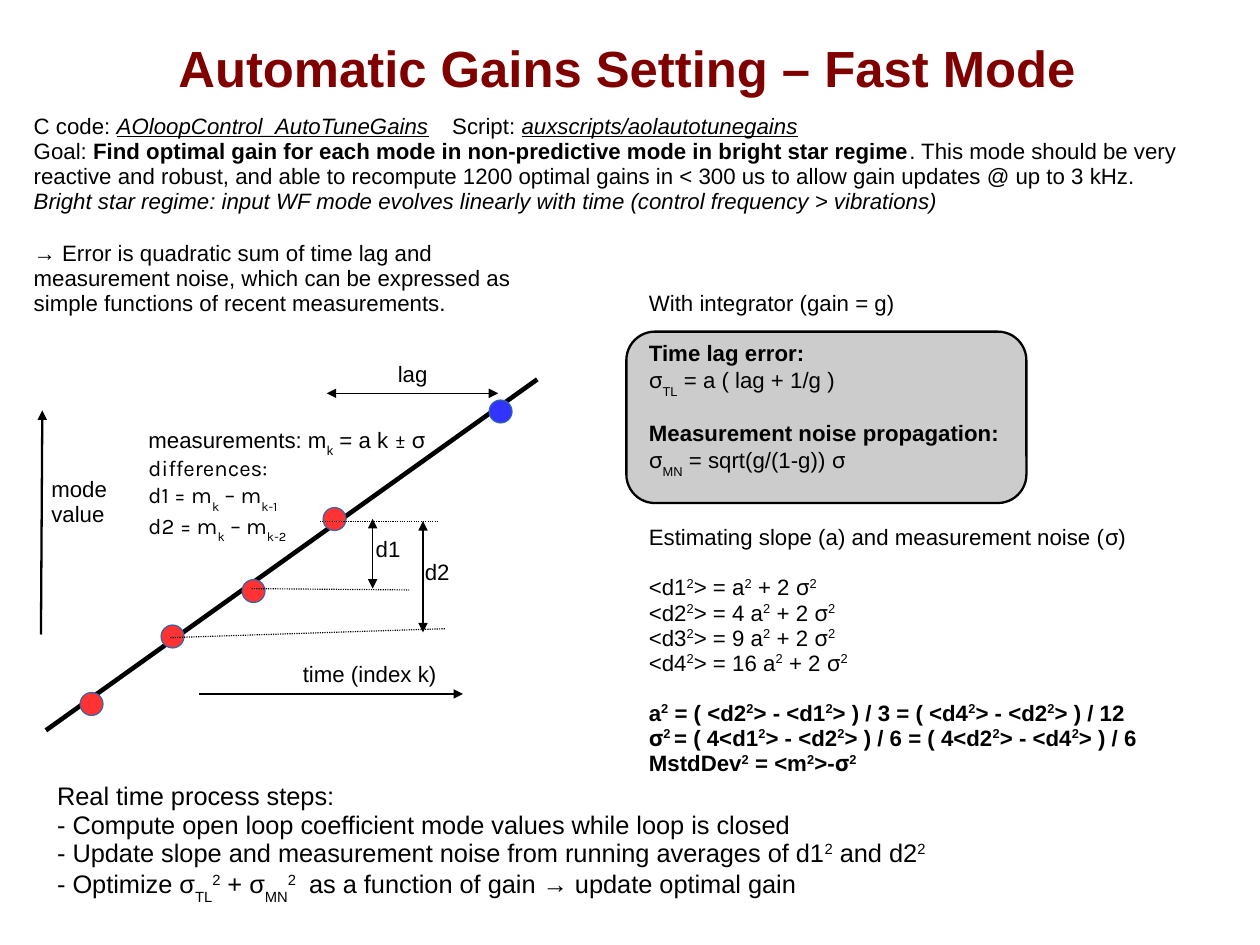
from lxml.etree import SubElement
from pptx import Presentation
from pptx.dml.color import RGBColor
from pptx.enum.dml import MSO_LINE
from pptx.enum.shapes import MSO_CONNECTOR as CONNECTOR, MSO_SHAPE as SHAPE
from pptx.enum.text import MSO_ANCHOR as ANCHOR, PP_ALIGN as ALIGN
from pptx.oxml.ns import qn
from pptx.util import Cm, Pt

BLACK = RGBColor(0x00, 0x00, 0x00)
MAROON = RGBColor(0x80, 0x00, 0x00)
GREY = RGBColor(0xCC, 0xCC, 0xCC)
RED = RGBColor(0xFF, 0x33, 0x33)
BLUE = RGBColor(0x33, 0x33, 0xFF)
OUTLINE = RGBColor(0x34, 0x65, 0xA4)


class Page:
    """Text markup: a paragraph may start with + (gap above), # (bold) or @ (Karla).
    Spans are split by | and may start with ^ (superscript), _ (subscript),
    * (bold), / (italic), ! (underlined italic) or ~ (Karla)."""

    main_font, math_font = "Arial", "Karla"
    line_spacing, gap = 0.94, Pt(15.75)

    def __init__(self, deck):
        self.shapes = deck.slides.add_slide(deck.slide_layouts[6]).shapes

    def text(self, left, top, width, height, lines, size=14, color=BLACK, tab=None):
        box = self.shapes.add_textbox(Cm(left), Cm(top), Cm(width), Cm(height))
        frame = box.text_frame
        frame.word_wrap = True
        for index, line in enumerate(lines):
            para = frame.paragraphs[0] if index == 0 else frame.add_paragraph()
            marks = line[:len(line) - len(line.lstrip("+#@"))]
            if "\t" in line:
                tabs = SubElement(para._p.get_or_add_pPr(), qn("a:tabLst"))
                SubElement(tabs, qn("a:tab"), pos=str(Cm(tab)), algn="l")
            para.line_spacing = self.line_spacing
            if "+" in marks:
                para.space_before = self.gap
            para.font.name = self.math_font if "@" in marks else self.main_font
            para.font.size = Pt(size)
            para.font.bold = "#" in marks
            para.font.color.rgb = color
            for part in line[len(marks):].split("|"):
                self.span(para, part)
        return frame

    def span(self, para, part):
        mark = part[0] if part[0] in "^_*/!~" else ""
        span = para.add_run()
        span.text = part[len(mark):]
        if mark in ("^", "_"):
            baseline = "33000" if mark == "^" else "-33000"
            span._r.get_or_add_rPr().set("baseline", baseline)
        elif mark == "*":
            span.font.bold = True
        elif mark == "~":
            span.font.name = self.math_font
        elif mark:
            span.font.italic = True
            if mark == "!":
                span.font.underline = True

    def shape(self, kind, left, top, width, height, fill, line, weight):
        shape = self.shapes.add_shape(kind, Cm(left), Cm(top), Cm(width), Cm(height))
        shape.shadow.inherit = False
        shape.fill.solid()
        shape.fill.fore_color.rgb = fill
        shape.line.color.rgb = line
        shape.line.width = Pt(weight)

    def dot(self, left, top, fill):
        self.shape(SHAPE.OVAL, left, top, 0.51, 0.51, fill, OUTLINE, 0.75)

    def line(self, x1, y1, x2, y2, weight=0.75, arrows=(), dotted=False):
        line = self.shapes.add_connector(
            CONNECTOR.STRAIGHT, Cm(x1), Cm(y1), Cm(x2), Cm(y2))
        line.line.color.rgb = BLACK
        line.line.width = Pt(weight)
        if dotted:
            line.line.dash_style = MSO_LINE.ROUND_DOT
        for end in arrows:
            SubElement(line.line._get_or_add_ln(), qn(f"a:{end}"), type="triangle")
        SubElement(line._element.spPr, qn("a:effectLst"))


def main():
    deck = Presentation()
    deck.slide_width, deck.slide_height = Cm(28), Cm(21)
    page = Page(deck)

    # Grey panel behind the error formulas
    page.shape(SHAPE.ROUNDED_RECTANGLE, 13.92, 7.37, 8.89, 3.81, GREY, BLACK, 1.45)

    # Title and introduction
    title = page.text(1.4, 0.84, 25.1, 1.45,
                      ["#Automatic Gains Setting – Fast Mode"], 32, MAROON)
    title.vertical_anchor = ANCHOR.MIDDLE
    title.paragraphs[0].alignment = ALIGN.CENTER
    title.margin_left = title.margin_right = title.margin_top = title.margin_bottom = 0
    page.text(0.5, 2.41, 26.67, 3.89, [
        "C code: |!AOloopControl_AutoTuneGains|\tScript: |!auxscripts/aolautotunegains",
        "Goal: |*Find optimal gain for each mode in non-predictive mode in bright star "
        "regime|. This mode should be very reactive and robust, and able to recompute "
        "1200 optimal gains in < 300 us to allow gain updates @ up to 3 kHz.",
        "/Bright star regime: input WF mode evolves linearly with time "
        "(control frequency > vibrations)",
    ], tab=9.3)
    page.text(0.5, 5.23, 11.94, 2.29, [
        "→ Error is quadratic sum of time lag and measurement noise, which can be "
        "expressed as simple functions of recent measurements."])

    # Mode value against time: trend and measured points
    page.line(1.02, 16.23, 11.94, 8.43, 2.89)
    for index, top in enumerate((15.39, 13.89, 12.88, 11.28)):
        page.dot(1.78 + 1.8 * index, top, RED)
    page.dot(10.87, 8.89, BLUE)

    # Axes
    page.line(4.42, 15.42, 10.29, 15.42, 1.45, ["tailEnd"])
    page.line(0.91, 14.1, 0.94, 9.12, 1.45, ["tailEnd"])

    # Lag and differences
    for x1, y1, x2, y2 in ((7.26, 8.74, 11.07, 8.74), (8.28, 11.53, 8.28, 13.08),
                           (9.4, 11.58, 9.4, 14.05)):
        page.line(x1, y1, x2, y2, arrows=["headEnd", "tailEnd"])
    for x1, y1, x2, y2 in ((7.11, 11.58, 9.73, 11.58), (5.59, 13.08, 9.09, 13.11),
                           (3.78, 14.17, 9.91, 13.97)):
        page.line(x1, y1, x2, y2, dotted=True)

    # Diagram labels
    for left, top, width, label in ((6.48, 14.6, 3.8, "time (index k)"),
                                    (0.89, 10.49, 2.03, "mode value"),
                                    (8.59, 7.92, 1.4, "lag"),
                                    (8.1, 11.81, 1.3, "d1"),
                                    (9.19, 12.32, 1.3, "d2")):
        page.text(left, top, width, 0.84, [label])
    page.text(3.05, 9.35, 7.2, 3, [
        "measurements: m|_k| = a k |~± σ",
        "@differences:",
        "@d1 = m|_k| – m|_k-1",
        "@d2 = m|_k| – m|_k-2",
    ])

    # Error formulas
    page.text(14.17, 6.35, 8.8, 4.5, [
        "With integrator (gain = g)",
        "+#Time lag error:",
        "~σ|_TL| = a ( lag + 1/g )",
        "+#Measurement noise propagation:",
        "~σ|_MN| = sqrt(g/(1-g)) |~σ",
    ])

    # Slope and noise estimation
    squares = [f"<d{n}|^2|> = {f'{n * n} ' if n > 1 else ''}a|^2| + 2 |~σ|^2"
               for n in range(1, 5)]
    squares[0] = "+" + squares[0]
    page.text(14.17, 11.56, 12, 5.97, [
        "Estimating slope (a) and measurement noise (|~σ|)",
        *squares,
        "+#a|^2| = ( <d2|^2|> - <d1|^2|> ) / 3 = ( <d4|^2|> - <d2|^2|> ) / 12",
        "#~σ|^2 |= ( 4<d1|^2|> - <d2|^2|> ) / 6 = ( 4<d2|^2|> - <d4|^2|> ) / 6",
        "#MstdDev|^2| = <m|^2|>-|~σ|^2",
    ])

    # Process steps
    page.text(1.02, 17.27, 21, 3, [
        "Real time process steps:",
        "- Compute open loop coefficient mode values while loop is closed",
        "- Update slope and measurement noise from running averages of d1|^2| and d2|^2",
        "- Optimize σ|_TL|^2| + σ|_MN|^2|\tas a function of gain → update optimal gain",
    ], 16, tab=5.6)

    deck.save("out.pptx")


if __name__ == "__main__":
    main()
